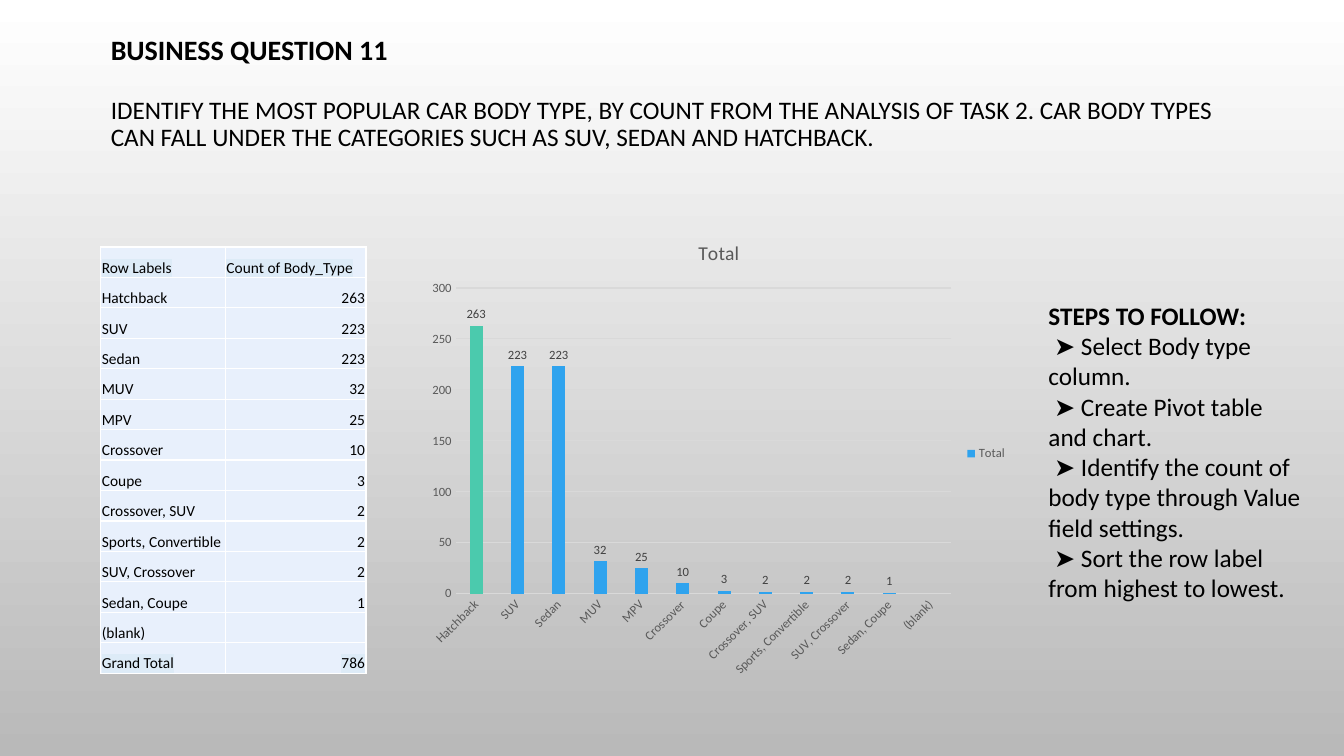
import pptx
import pptx.chart.data
import pptx.dml.color
import pptx.enum.chart
import pptx.enum.text
import pptx.oxml
import pptx.oxml.ns
import pptx.util
from dataclasses import dataclass

HEAD = "BUSINESS QUESTION 11"
TASK = (
    "IDENTIFY THE MOST POPULAR CAR BODY TYPE, BY COUNT FROM THE ANALYSIS OF TASK 2. "
    "CAR BODY TYPES CAN FALL UNDER THE CATEGORIES SUCH AS SUV, SEDAN AND HATCHBACK."
)
COUNTS = [
    ("Hatchback", 263), ("SUV", 223), ("Sedan", 223), ("MUV", 32),
    ("MPV", 25), ("Crossover", 10), ("Coupe", 3), ("Crossover, SUV", 2),
    ("Sports, Convertible", 2), ("SUV, Crossover", 2), ("Sedan, Coupe", 1),
    ("(blank)", None),
]
LABELS = ("Row Labels", "Count of Body_Type")
TOTAL = ("Grand Total", 786)
SERIES = "Total"
STEPS_HEAD = "STEPS TO FOLLOW:"
STEPS = [
    "Select Body type column.",
    "Create Pivot table and chart.",
    "Identify the count of body type through Value field settings.",
    "Sort the row label from highest to lowest.",
]

# left, top, width, height in inches
TITLE_BOX = (1, 0.21, 11.42, 1.45)
TABLE_BOX = (1, 2.45, 2.63, 4.23)
CHART_BOX = (4.17, 2.19, 5.92, 4.62)
STEPS_BOX = (10.3, 2.93, 2.71, 3.13)
LABEL_SHARE = 0.47


@dataclass(frozen=True)
class Theme:
    font: str = "Calibri"
    ink: str = "000000"
    top: str = "FFFFFF"
    base: str = "B9B9B9"
    cell: str = "E8F0FC"
    mark: str = "DDEBF7"
    edge: str = "FFFFFF"
    grid: str = "D9D9D9"
    axis: str = "595959"
    value: str = "404040"
    bar: str = "2FA3EE"
    best: str = "4BCAAD"
    head_size: int = 20
    body_size: int = 18
    cell_size: int = 11
    chart_title: int = 14
    chart_size: int = 10
    axis_size: int = 9


THEME = Theme()
Inches, Pt = pptx.util.Inches, pptx.util.Pt
NS = pptx.oxml.ns.nsdecls("a")


def rgb(code):
    return pptx.dml.color.RGBColor.from_string(code)


def style(font, size, color=THEME.ink, bold=False):
    font.name, font.size, font.bold = THEME.font, Pt(size), bold
    font.color.rgb = rgb(color)


def text_frame(slide, box):
    frame = slide.shapes.add_textbox(*map(Inches, box)).text_frame
    frame.word_wrap = True
    return frame


def paint_back(slide):
    fill = slide.background.fill
    fill.gradient()
    fill.gradient_angle = 270
    for stop, code in zip(fill.gradient_stops, (THEME.top, THEME.base)):
        stop.color.rgb = rgb(code)


def add_title(slide):
    frame = text_frame(slide, TITLE_BOX)
    frame.vertical_anchor = pptx.enum.text.MSO_ANCHOR.MIDDLE
    para = frame.paragraphs[0]
    para.line_spacing = 0.9
    style(para.font, THEME.head_size)
    head = para.add_run()
    head.text = HEAD
    style(head.font, THEME.head_size, bold=True)
    para.add_line_break()
    para.add_line_break()
    task = para.add_run()
    task.text = TASK
    style(task.font, THEME.body_size)


def add_steps(slide):
    frame = text_frame(slide, STEPS_BOX)
    frame.text = "\n".join([STEPS_HEAD] + [f" ➤ {step}" for step in STEPS])
    for i, para in enumerate(frame.paragraphs):
        style(para.font, THEME.body_size, bold=i == 0)


def edge_cell(cell):
    """Draw a one-point line on all four sides."""
    props = cell._tc.get_or_add_tcPr()
    for i, side in enumerate(("lnL", "lnR", "lnT", "lnB")):
        props.insert(i, pptx.oxml.parse_xml(
            f'<a:{side} {NS} w="12700"><a:solidFill>'
            f'<a:srgbClr val="{THEME.edge}"/></a:solidFill></a:{side}>'))


def mark_run(run):
    """Put the highlight colour behind a run."""
    run._r.get_or_add_rPr().append(pptx.oxml.parse_xml(
        f'<a:highlight {NS}><a:srgbClr val="{THEME.mark}"/></a:highlight>'))


def add_table(slide):
    rows = [LABELS, *COUNTS, TOTAL]
    table = slide.shapes.add_table(len(rows), 2, *map(Inches, TABLE_BOX)).table
    table.first_row = table.horz_banding = False
    width, height = TABLE_BOX[2:]
    for col, share in zip(table.columns, (LABEL_SHARE, 1 - LABEL_SHARE)):
        col.width = Inches(width * share)
    for r, row in enumerate(rows):
        table.rows[r].height = Inches(height / len(rows))
        for c, value in enumerate(row):
            cell = table.cell(r, c)
            cell.fill.solid()
            cell.fill.fore_color.rgb = rgb(THEME.cell)
            cell.margin_left = cell.margin_right = cell.margin_top = Inches(0.01)
            cell.margin_bottom = 0
            cell.vertical_anchor = pptx.enum.text.MSO_ANCHOR.BOTTOM
            edge_cell(cell)
            para = cell.text_frame.paragraphs[0]
            style(para.font, THEME.cell_size)
            if isinstance(value, int):
                para.alignment = pptx.enum.text.PP_ALIGN.RIGHT
            if value is not None:
                run = para.add_run()
                run.text = str(value)
                if row in (LABELS, TOTAL):
                    mark_run(run)


def add_chart(slide):
    enum = pptx.enum.chart
    data = pptx.chart.data.CategoryChartData()
    data.categories = [name for name, _ in COUNTS]
    data.add_series(SERIES, [count for _, count in COUNTS])
    chart = slide.shapes.add_chart(
        enum.XL_CHART_TYPE.COLUMN_CLUSTERED, *map(Inches, CHART_BOX), data).chart
    style(chart.font, THEME.chart_size)

    chart.has_title = True
    chart.chart_title.text_frame.text = SERIES
    title = chart.chart_title.text_frame.paragraphs[0]
    style(title.font, THEME.chart_title, THEME.axis)

    chart.has_legend = True
    chart.legend.position = enum.XL_LEGEND_POSITION.RIGHT
    chart.legend.include_in_layout = False
    style(chart.legend.font, THEME.axis_size, THEME.axis)

    names, values = chart.category_axis, chart.value_axis
    for axis in (names, values):
        axis.major_tick_mark = axis.minor_tick_mark = enum.XL_TICK_MARK.NONE
        style(axis.tick_labels.font, THEME.axis_size, THEME.axis)
    values.format.line.fill.background()
    for line in (names.format.line, values.major_gridlines.format.line):
        line.color.rgb = rgb(THEME.grid)
        line.width = Pt(0.75)

    plot = chart.plots[0]
    plot.gap_width, plot.overlap, plot.vary_by_categories = 219, -27, False
    bars = plot.series[0]
    best = bars.points[0]
    for part, code in ((bars, THEME.bar), (best, THEME.best)):
        part.format.fill.solid()
        part.format.fill.fore_color.rgb = rgb(code)
    labels = bars.data_labels
    labels.show_value = True
    labels.position = enum.XL_LABEL_POSITION.OUTSIDE_END
    style(labels.font, THEME.axis_size, THEME.value)


def main():
    deck = pptx.Presentation()
    deck.slide_width, deck.slide_height = Inches(13.33), Inches(7.5)
    slide = deck.slides.add_slide(deck.slide_layouts[6])
    for build in (paint_back, add_title, add_steps, add_table, add_chart):
        build(slide)
    deck.save("out.pptx")


if __name__ == "__main__":
    main()
